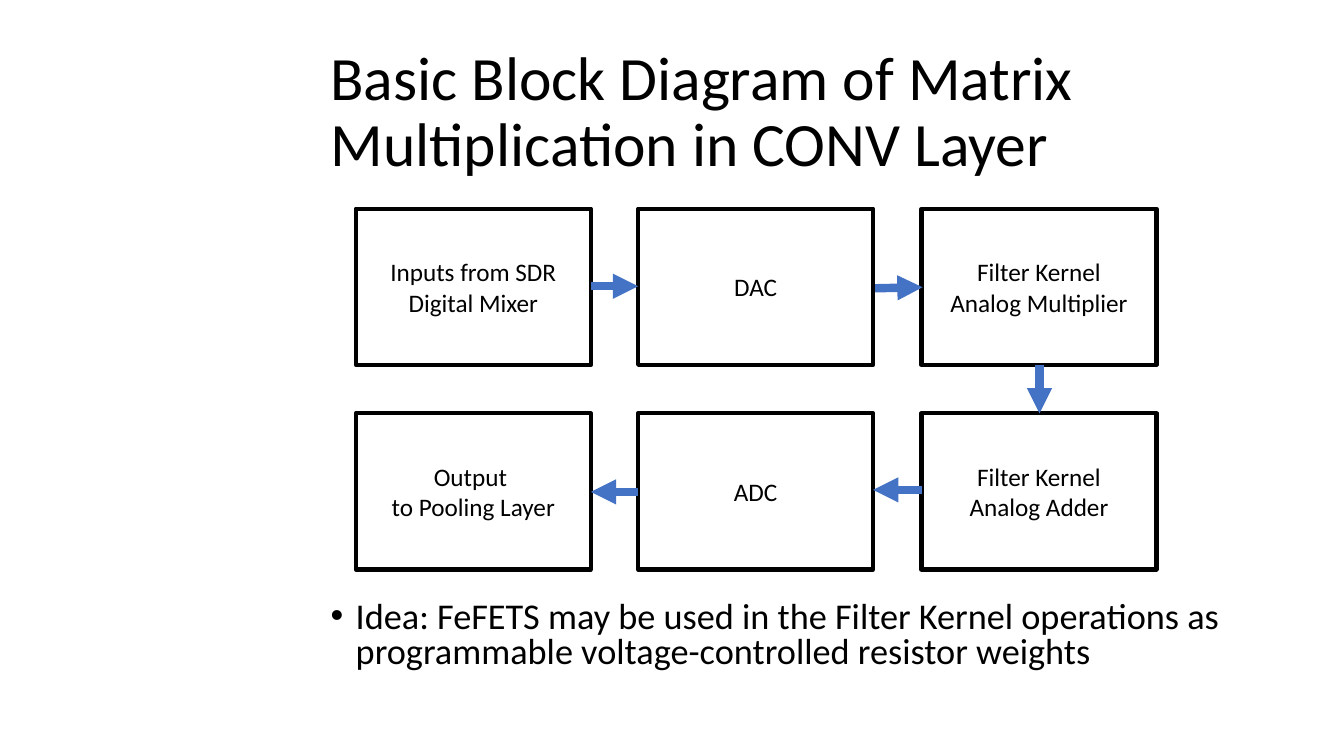
from typing import NamedTuple

from lxml import etree
from pptx import Presentation
from pptx.dml.color import RGBColor
from pptx.enum.shapes import MSO_CONNECTOR as Connector, MSO_SHAPE as Shape
from pptx.enum.text import MSO_ANCHOR as Anchor, PP_ALIGN as Align
from pptx.oxml.ns import qn
from pptx.util import Emu, Pt

PX = 9144  # EMU per px, 100 px to the inch
FONT, BLACK, BLUE = "Calibri", "000000", "4472C4"

COLUMNS = (353, 633, 914)
ROWS = (207, 410)
BOX_WIDTH, BOX_HEIGHT = 233, 155


class Block(NamedTuple):
    column: int
    row: int
    lines: tuple[str, ...]


class Arrow(NamedTuple):
    x1: int
    y1: int
    x2: int
    y2: int


BLOCKS = (
    Block(0, 0, ("Inputs from SDR", "Digital Mixer")),
    Block(1, 0, ("DAC",)),
    Block(2, 0, ("Filter Kernel", "Analog Multiplier")),
    Block(2, 1, ("Filter Kernel", "Analog Adder")),
    Block(1, 1, ("ADC",)),
    Block(0, 1, ("Output ", "to Pooling Layer")),
)
ARROWS = (
    Arrow(586, 284, 633, 284),
    Arrow(868, 286, 915, 285),
    Arrow(914, 486, 866, 486),
    Arrow(633, 488, 586, 488),
    Arrow(1031, 362, 1031, 410),
)


def px(*lengths: int) -> list[Emu]:
    return [Emu(length * PX) for length in lengths]


def color(value: str) -> RGBColor:
    return RGBColor.from_string(value)


def style(paragraph, size: float) -> None:
    paragraph.font.name = FONT
    paragraph.font.size = Pt(size)
    paragraph.font.color.rgb = color(BLACK)


def add_text(slide, box: tuple[int, ...], text: str, size: float,
             spacing: float, anchor: Anchor):
    frame = slide.shapes.add_textbox(*px(*box)).text_frame
    frame.word_wrap = True
    frame.vertical_anchor = anchor
    paragraph = frame.paragraphs[0]
    paragraph.text = text
    paragraph.line_spacing = spacing
    style(paragraph, size)
    return paragraph


def add_bullet(paragraph, indent: int) -> None:
    properties = paragraph._p.get_or_add_pPr()
    properties.set("marL", str(indent * PX))
    properties.set("indent", str(-indent * PX))
    etree.SubElement(properties, qn("a:buFont")).set("typeface", "Arial")
    etree.SubElement(properties, qn("a:buChar")).set("char", "•")


def add_block(slide, block: Block) -> None:
    rect = slide.shapes.add_shape(Shape.RECTANGLE, *px(
        COLUMNS[block.column], ROWS[block.row], BOX_WIDTH, BOX_HEIGHT))
    rect.shadow.inherit = False
    rect.fill.background()
    rect.line.color.rgb = color(BLACK)
    rect.line.width = Pt(3)
    frame = rect.text_frame
    frame.vertical_anchor = Anchor.MIDDLE
    frame.text = "\n".join(block.lines)
    for paragraph in frame.paragraphs:
        paragraph.alignment = Align.CENTER
        style(paragraph, 18)


def add_arrow(slide, arrow: Arrow) -> None:
    connector = slide.shapes.add_connector(Connector.STRAIGHT, *px(*arrow))
    connector.line.color.rgb = color(BLUE)
    connector.line.width = Pt(6)
    etree.SubElement(connector.line._get_or_add_ln(),
                     qn("a:tailEnd")).set("type", "triangle")
    etree.SubElement(connector._element.spPr, qn("a:effectLst"))


def main() -> None:
    deck = Presentation()
    deck.slide_width, deck.slide_height = px(1333, 750)
    slide = deck.slides.add_slide(deck.slide_layouts[6])

    # Title and closing idea
    add_text(slide, (318, 40, 924, 145),
             "Basic Block Diagram of Matrix Multiplication in CONV Layer",
             44, 0.9, Anchor.MIDDLE)
    idea = add_text(slide, (318, 592, 924, 83),
                    "Idea: FeFETS may be used in the Filter Kernel operations as "
                    "programmable voltage-controlled resistor weights",
                    25.9, 0.8, Anchor.TOP)
    idea.space_before = Pt(10)
    add_bullet(idea, 25)

    # Block diagram
    for block in BLOCKS:
        add_block(slide, block)
    for arrow in ARROWS:
        add_arrow(slide, arrow)

    deck.save("out.pptx")


if __name__ == "__main__":
    main()
